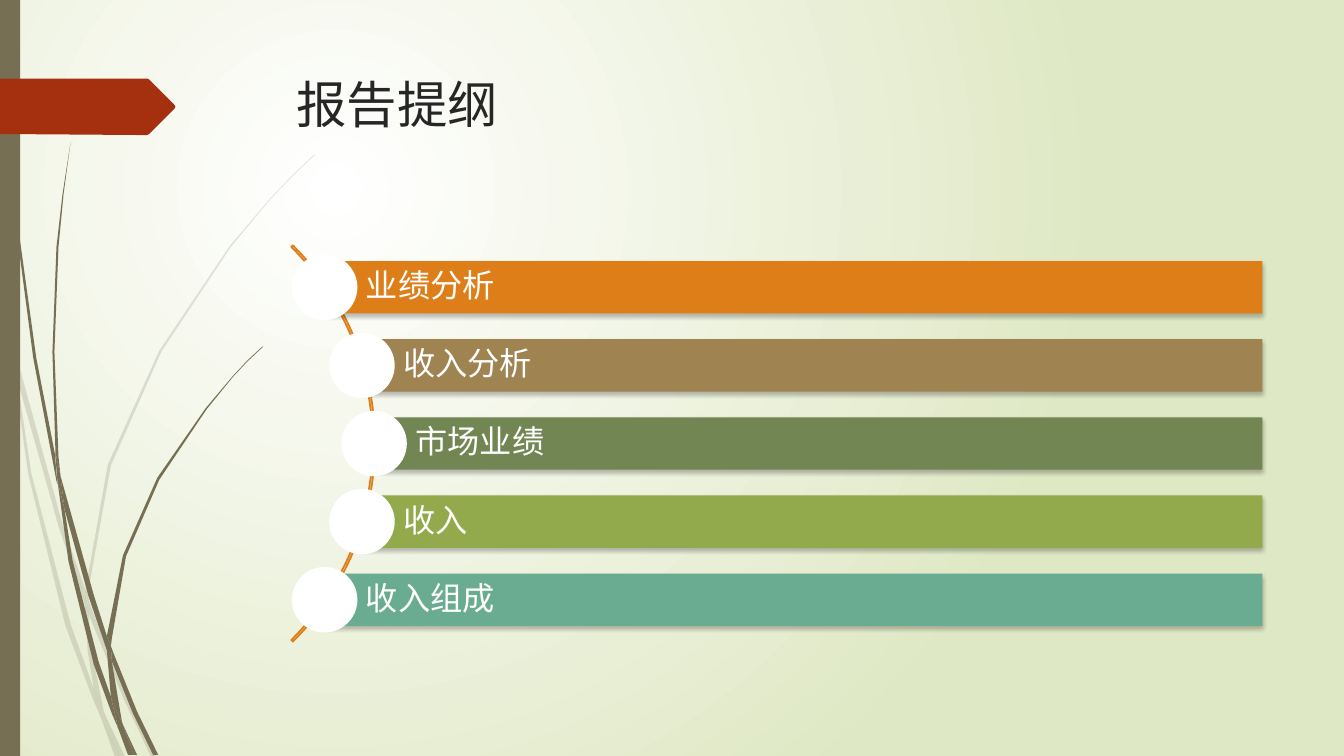
from dataclasses import dataclass

from lxml.etree import SubElement
from pptx import Presentation
from pptx.dml.color import RGBColor
from pptx.enum.shapes import MSO_SHAPE as Preset
from pptx.enum.text import MSO_ANCHOR as Anchor, PP_ALIGN as Align
from pptx.oxml.ns import qn
from pptx.util import Emu, Inches, Pt

SCALE = 9144  # EMU in one px, 100 px to the inch


@dataclass(frozen=True)
class Theme:
    font: str = "League Spartan"
    title_size: int = 36
    label_size: int = 23
    title: str = "262626"
    white: str = "FFFFFF"
    backdrop: str = "DFE8C4"
    grass: str = "766F54"
    tag: str = "A53010"
    arc: str = "DE7E18"
    shadow: str = "000000"


THEME = Theme()

# Label, left edge and colour of each agenda bar
AGENDA = [
    ("业绩分析", 322, "DE7E18"),
    ("收入分析", 359, "9F8351"),
    ("市场业绩", 371, "728653"),
    ("收入", 359, "92AA4C"),
    ("收入组成", 322, "6AAC91"),
]
BAR_RIGHT, BAR_TOP, BAR_HEIGHT, BAR_PITCH = 1252, 259, 52, 77.5
DOT = 65

# Outlines of the grass blades, in px
PALE_BLADES = [
    [(11, 350), (9, 322), (0, 282), (0, 299), (10, 344)],
    [(58, 522), (84, 599), (85, 586), (62, 520), (14, 345), (17, 376)],
    [(92, 607), (88, 596), (88, 610), (123, 694), (150, 751), (155, 751), (127, 692)],
    [(119, 751), (124, 751), (105, 711)],
    [(93, 683), (70, 619), (31, 469), (17, 376), (11, 350), (28, 470), (65, 621),
     (92, 693), (101, 714), (99, 707)],
    [(84, 599), (87, 646), (93, 683), (96, 692), (105, 711), (103, 706), (91, 646),
     (88, 610), (88, 608)],
    [(88, 584), (110, 462), (160, 349), (229, 245), (268, 198), (290, 175), (312, 154),
     (312, 153), (289, 175), (268, 197), (228, 244), (158, 348), (107, 461), (85, 584),
     (85, 586), (88, 596)],
    [(101, 714), (114, 751), (119, 751)],
    [(88, 608), (88, 610), (88, 596), (85, 586), (84, 599)],
    [(96, 692), (93, 683), (99, 707), (101, 714), (119, 751), (105, 711)],
]
DARK_BLADES = [
    [(7, 110), (17, 233), (33, 355), (56, 477), (57, 481), (55, 457), (55, 453),
     (36, 355), (19, 232), (8, 109), (5, 48), (4, 0), (3, 0), (4, 48)],
    [(88, 592), (106, 645), (106, 633), (106, 631), (93, 590), (60, 472), (64, 505)],
    [(113, 649), (110, 641), (111, 656), (132, 708), (152, 749), (157, 749), (136, 706)],
    [(110, 691), (98, 657), (72, 556), (64, 505), (57, 477), (68, 557), (93, 659),
     (111, 708), (117, 722), (116, 717)],
    [(60, 472), (58, 453), (54, 349), (58, 245), (63, 193), (70, 141), (62, 193),
     (56, 245), (52, 349), (55, 449)],
    [(133, 749), (136, 749), (122, 719)],
    [(57, 477), (64, 505), (60, 472), (55, 449), (55, 453)],
    [(111, 633), (125, 552), (158, 476), (205, 406), (231, 374), (245, 359), (261, 344),
     (260, 344), (245, 358), (231, 373), (204, 405), (156, 474), (122, 551), (106, 631),
     (110, 641)],
    [(117, 722), (127, 749), (131, 749)],
    [(106, 645), (110, 691), (116, 706), (122, 719), (121, 716), (111, 656), (109, 651)],
    [(106, 645), (109, 651), (111, 656), (110, 641), (106, 631), (106, 633)],
    [(116, 706), (110, 691), (116, 717), (117, 722), (130, 749), (133, 749), (122, 719)],
]
TAG_OUTLINE = [(173, 108), (148, 133), (146, 134), (136, 134), (0, 133), (0, 78),
               (146, 78), (148, 79), (173, 104), (174, 106)]


def px(length):
    return Emu(round(length * SCALE))


def rgb(value):
    return RGBColor.from_string(value)


def paint(shape, fill=None, line=None, opacity=100):
    """Give a shape its fill and line, without the theme's shadow."""
    shape.shadow.inherit = False
    if fill:
        shape.fill.solid()
        shape.fill.fore_color.rgb = rgb(fill)
        if opacity < 100:
            color = shape.element.spPr.find(qn("a:solidFill"))[0]
            SubElement(color, qn("a:alpha"), val=str(opacity * 1000))
    else:
        shape.fill.background()
    if line:
        shape.line.color.rgb = rgb(line)
        shape.line.width = Pt(1.25)
    else:
        shape.line.fill.background()
    return shape


def add_preset(shapes, kind, left, top, width, height, **look):
    box = shapes.add_shape(kind, px(left), px(top), px(width), px(height))
    return paint(box, **look)


def add_outline(shapes, points, **look):
    builder = shapes.build_freeform(*points[0], scale=SCALE)
    builder.add_line_segments(points[1:], close=True)
    return paint(builder.convert_to_shape(), **look)


def add_shadow(shape):
    effects = shape.element.spPr.find(qn("a:effectLst"))
    outer = SubElement(effects, qn("a:outerShdw"), blurRad=str(Pt(3)), dist=str(Pt(2)),
                       dir="5400000", algn="ctr", rotWithShape="0")
    color = SubElement(outer, qn("a:srgbClr"), val=THEME.shadow)
    SubElement(color, qn("a:alpha"), val="25000")


def write(shape, text, *, size, color, anchor, margins, spacing=1.0):
    frame = shape.text_frame
    frame.word_wrap = True
    frame.vertical_anchor = anchor
    (frame.margin_left, frame.margin_top,
     frame.margin_right, frame.margin_bottom) = map(px, margins)
    para = frame.paragraphs[0]
    para.alignment = Align.LEFT
    para.line_spacing = spacing
    span = para.add_run()
    span.text = text
    span.font.name = THEME.font
    span.font.size = Pt(size)
    span.font.color.rgb = rgb(color)


def set_background(page):
    fill = page.background.fill
    fill.gradient()
    for stop, color, position in zip(fill.gradient_stops,
                                     (THEME.white, THEME.backdrop), (0, 1)):
        stop.color.rgb = rgb(color)
        stop.position = position
    gradient = page.element.find(".//" + qn("a:gradFill"))
    gradient.remove(gradient.find(qn("a:lin")))
    circle = SubElement(gradient, qn("a:path"), path="circle")
    SubElement(circle, qn("a:fillToRect"), l="50000", t="50000", r="100000", b="100000")


def add_grass(page, blades, opacity):
    group = page.shapes.add_group_shape()
    for blade in blades:
        add_outline(group.shapes, blade, fill=THEME.grass, opacity=opacity)


def add_agenda(page):
    shapes = page.shapes.add_group_shape().shapes
    arc = add_preset(shapes, Preset.BLOCK_ARC, -184, 162, 556, 556, line=THEME.arc)
    for index, value in enumerate((189, 27, 0.004)):
        arc.adjustments[index] = value
    for row, (label, left, color) in enumerate(AGENDA):
        top = BAR_TOP + row * BAR_PITCH
        bar = add_preset(shapes, Preset.RECTANGLE, left, top, BAR_RIGHT - left,
                         BAR_HEIGHT, fill=color)
        add_shadow(bar)
        write(bar, label, size=THEME.label_size, color=THEME.white,
              anchor=Anchor.MIDDLE, margins=(41, 6, 6, 6), spacing=0.9)
        add_preset(shapes, Preset.OVAL, left - DOT / 2, top + (BAR_HEIGHT - DOT) / 2,
                   DOT, DOT, fill=THEME.white)


def main():
    deck = Presentation()
    deck.slide_width, deck.slide_height = Inches(13.33), Inches(7.5)
    page = deck.slides.add_slide(deck.slide_layouts[5])

    # Backdrop and side decoration
    set_background(page)
    add_grass(page, PALE_BLADES, 20)
    add_grass(page, DARK_BLADES, 100)
    add_preset(page.shapes, Preset.RECTANGLE, 0, 0, 20, 750, fill=THEME.grass)
    add_outline(page.shapes, TAG_OUTLINE, fill=THEME.tag)

    # Title
    title = page.shapes.title
    title.left, title.top, title.width, title.height = map(px, (284, 68, 975, 140))
    write(title, "报告提纲", size=THEME.title_size, color=THEME.title,
          anchor=Anchor.TOP, margins=(10, 5, 10, 5))

    # Agenda
    add_agenda(page)
    deck.save("out.pptx")


if __name__ == "__main__":
    main()
